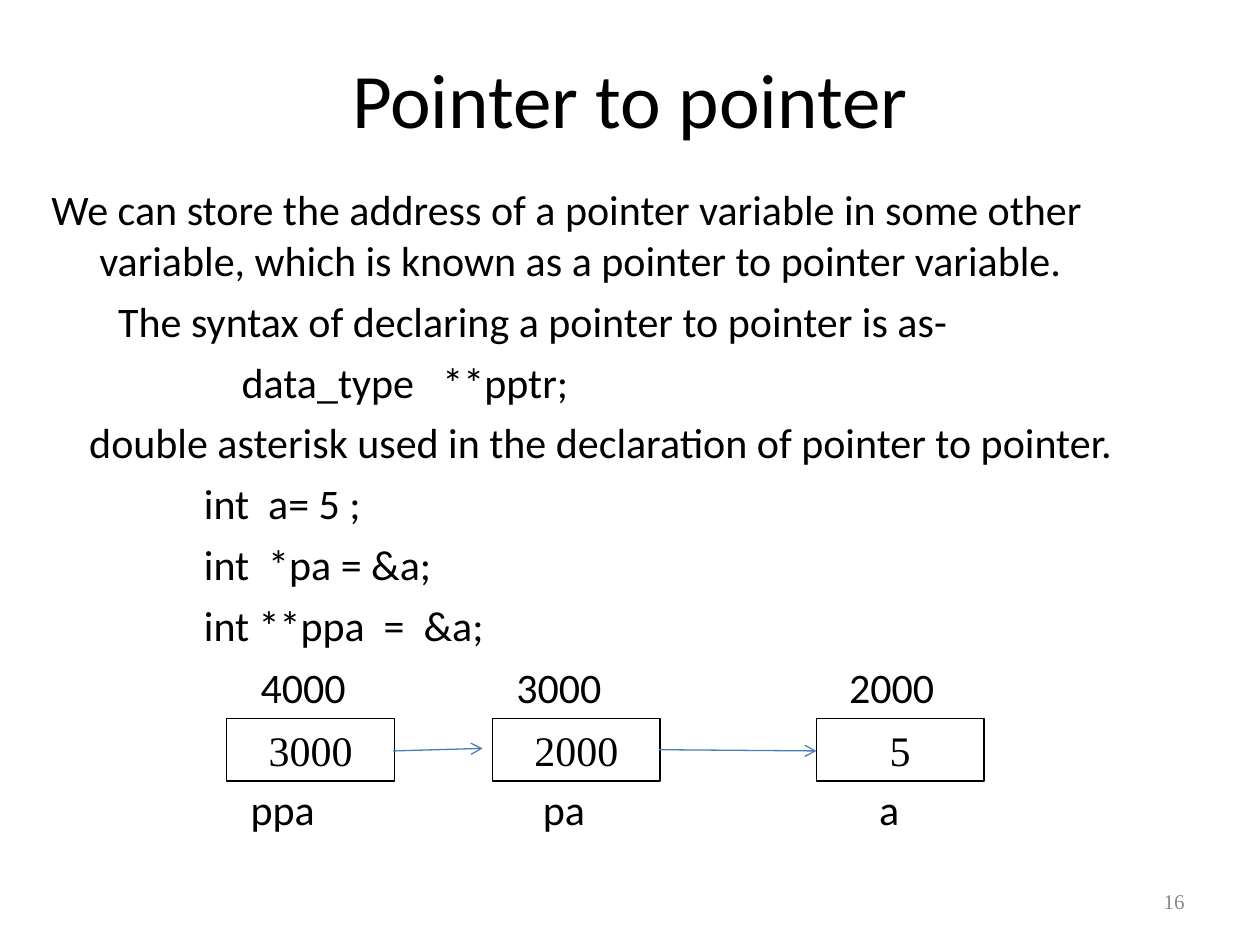
import pptx
import pptx.util
import pptx.dml.color
import pptx.enum.shapes
import pptx.enum.text
import pptx.oxml.ns
import lxml.etree

Inches = pptx.util.Inches
Pt = pptx.util.Pt
ALIGN = pptx.enum.text.PP_ALIGN
ANCHOR = pptx.enum.text.MSO_ANCHOR
qn = pptx.oxml.ns.qn

BLACK = pptx.dml.color.RGBColor(0x00, 0x00, 0x00)
WHITE = pptx.dml.color.RGBColor(0xFF, 0xFF, 0xFF)
GRAY = pptx.dml.color.RGBColor(0x89, 0x89, 0x89)
BLUE = pptx.dml.color.RGBColor(0x4A, 0x7E, 0xBB)


def write(paragraph, text, size=24, font="Calibri", color=BLACK,
          align=ALIGN.LEFT, margin=0, hanging=0, before=0):
    properties = paragraph._p.get_or_add_pPr()
    properties.set("marL", str(Inches(margin)))
    properties.set("indent", str(-Inches(hanging)))
    paragraph.alignment = align
    if before:
        paragraph.space_before = Pt(before)
    run = paragraph.add_run()
    run.text = text
    run.font.size = Pt(size)
    run.font.name = font
    run.font.color.rgb = color


def add_text_frame(left, top, width, height, anchor):
    box = slide.shapes.add_textbox(Inches(left), Inches(top), Inches(width), Inches(height))
    box.text_frame.word_wrap = True
    box.text_frame.vertical_anchor = anchor
    return box.text_frame


presentation = pptx.Presentation()
presentation.slide_width = Inches(10)
presentation.slide_height = Inches(7.5)
slide = presentation.slides.add_slide(presentation.slide_layouts[6])

# Title
title = add_text_frame(0.5, 0.3, 9, 0.95, ANCHOR.MIDDLE)
write(title.paragraphs[0], "Pointer to pointer", size=44, align=ALIGN.CENTER)

# Explanation and code
body = add_text_frame(0.31, 1.41, 9.45, 3.8, ANCHOR.TOP)
write(body.paragraphs[0],
      "We can store the address of a pointer variable in some other variable, "
      "which is known as a pointer to pointer variable.",
      margin=0.38, hanging=0.38)
for text, margin in [
    ("The syntax of declaring a pointer to pointer is as-", 0.53),
    ("data_type   **pptr;", 1.51),
    ("double asterisk used in the declaration of pointer to pointer.", 0.3),
    ("int  a= 5 ;", 1.21),
    ("int  *pa = &a;", 1.21),
    ("int **ppa  =  &a;", 1.21),
]:
    write(body.add_paragraph(), text, margin=margin, before=6)

# Slide number
number = add_text_frame(7.17, 6.95, 2.33, 0.4, ANCHOR.MIDDLE)
write(number.paragraphs[0], "16", size=12, font="Times New Roman", color=GRAY,
      align=ALIGN.RIGHT)

# Memory boxes, each with its address above and its name below
for value, left, address, address_left, name, name_left in [
    ("3000", 1.8, "4000", 1.97, "ppa", 1.89),
    ("2000", 3.91, "3000", 4, "pa", 4.21),
    ("5", 6.48, "2000", 6.64, "a", 6.88),
]:
    for label, label_left, label_top in [(address, address_left, 5.2), (name, name_left, 6.17)]:
        label_frame = add_text_frame(label_left, label_top, 1, 0.5, ANCHOR.TOP)
        write(label_frame.paragraphs[0], label)
    box = slide.shapes.add_shape(pptx.enum.shapes.MSO_SHAPE.RECTANGLE,
                                 Inches(left), Inches(5.7), Inches(1.33), Inches(0.5))
    box.shadow.inherit = False
    box.fill.solid()
    box.fill.fore_color.rgb = WHITE
    box.line.color.rgb = BLACK
    box.line.width = Pt(0.75)
    box.text_frame.vertical_anchor = ANCHOR.TOP
    write(box.text_frame.paragraphs[0], value, font="Times New Roman", align=ALIGN.CENTER)

# Arrows from each pointer to its target
for start_x, start_y, end_x, end_y in [(3.12, 5.96, 3.83, 5.94), (5.23, 5.95, 6.48, 5.96)]:
    arrow = slide.shapes.add_connector(pptx.enum.shapes.MSO_CONNECTOR.STRAIGHT,
                                       Inches(start_x), Inches(start_y),
                                       Inches(end_x), Inches(end_y))
    arrow.line.color.rgb = BLUE
    arrow.line.width = Pt(0.75)
    lxml.etree.SubElement(arrow.line._get_or_add_ln(), qn("a:tailEnd"), type="arrow")
    lxml.etree.SubElement(arrow._element.spPr, qn("a:effectLst"))

presentation.save("out.pptx")
